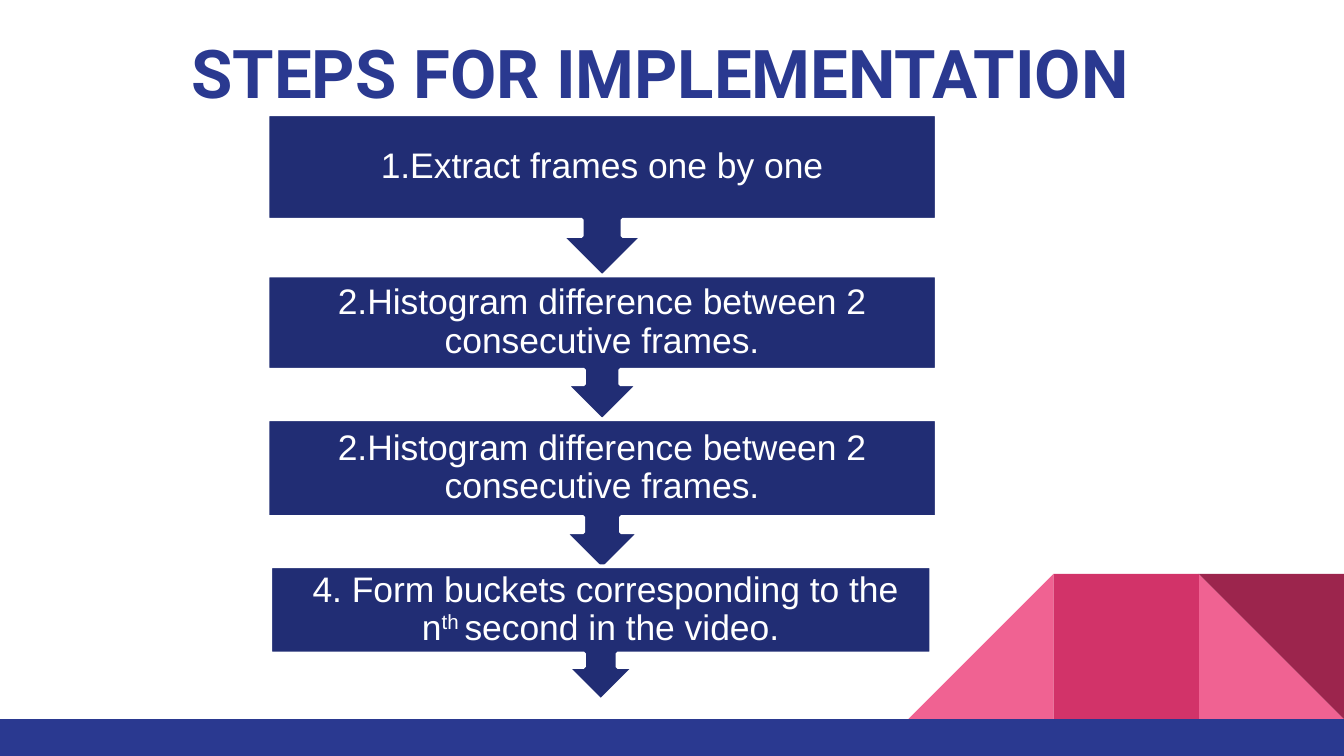
from dataclasses import dataclass

import pptx
import pptx.dml.color
import pptx.enum.shapes
import pptx.enum.text
import pptx.util
from pptx.util import Pt

SHAPE = pptx.enum.shapes.MSO_SHAPE
ALIGN = pptx.enum.text.PP_ALIGN
ANCHOR = pptx.enum.text.MSO_ANCHOR

COLORS = {
    "blue": "2A3990",
    "navy": "212D74",
    "white": "FFFFFF",
    "pink": "F06292",
    "rose": "D23369",
    "wine": "9C254D",
}
PAGE_WIDTH, PAGE_HEIGHT = 720, 405
FOOTER_TOP = 385.2
TILE = 77.76
BODY_SHARE = 0.65  # part of a callout's height above its arrow


@dataclass
class Tile:
    kind: SHAPE
    column: int  # counted from the right edge of the page
    color: str
    rotation: int = 0
    mirrored: bool = False


@dataclass
class Span:
    text: str
    superscript: bool = False


@dataclass
class Step:
    left: float
    top: float
    width: float
    height: float
    spans: list[Span]


HISTOGRAM = [Span("2.Histogram difference between 2 consecutive frames.")]
STEPS = [
    Step(143.3, 61.2, 358.5, 87, [Span("1.Extract frames one by one")]),
    Step(143.3, 147.6, 358.5, 77.6, HISTOGRAM),
    Step(143.3, 224.6, 358.5, 80.6, HISTOGRAM),
    Step(144.7, 303.3, 354.2, 72, [
        Span(" 4. Form buckets corresponding to the n"),
        Span("th ", superscript=True),
        Span("second in the video."),
    ]),
]
TILES = [
    Tile(SHAPE.RIGHT_TRIANGLE, 1, "pink"),
    Tile(SHAPE.RIGHT_TRIANGLE, 3, "pink", mirrored=True),
    Tile(SHAPE.RECTANGLE, 2, "rose"),
    Tile(SHAPE.RIGHT_TRIANGLE, 1, "wine", rotation=180),
]


def rgb(name: str) -> pptx.dml.color.RGBColor:
    return pptx.dml.color.RGBColor.from_string(COLORS[name])


def add_filled(page, kind: SHAPE, left: float, top: float, width: float,
               height: float, color: str):
    """Add a preset shape with a plain fill, no line and no shadow."""
    shape = page.shapes.add_shape(kind, Pt(left), Pt(top), Pt(width), Pt(height))
    shape.shadow.inherit = False
    shape.fill.solid()
    shape.fill.fore_color.rgb = rgb(color)
    shape.line.fill.background()
    return shape


def add_tile(page, tile: Tile) -> None:
    shape = add_filled(page, tile.kind, PAGE_WIDTH - tile.column * TILE,
                       FOOTER_TOP - TILE, TILE, TILE, tile.color)
    shape.rotation = tile.rotation
    if tile.mirrored:
        shape._element.spPr.xfrm.set("flipH", "1")


def add_step(page, step: Step) -> None:
    callout = add_filled(page, SHAPE.UP_ARROW_CALLOUT, step.left, step.top,
                         step.width, step.height, "navy")
    callout.rotation = 180
    callout.line.color.rgb = rgb("white")
    callout.line.width = Pt(2)

    # The callout is turned over, so its label is an upright box of its own.
    box = page.shapes.add_textbox(Pt(step.left), Pt(step.top), Pt(step.width),
                                  Pt(step.height * BODY_SHARE))
    frame = box.text_frame
    frame.word_wrap = True
    frame.vertical_anchor = ANCHOR.MIDDLE
    frame.margin_left = frame.margin_right = Pt(10.8)
    frame.margin_top = frame.margin_bottom = Pt(10.8)
    para = frame.paragraphs[0]
    para.alignment = ALIGN.CENTER
    para.line_spacing = 0.9
    para.font.name = "Arial"
    para.font.size = Pt(19)
    para.font.color.rgb = rgb("white")
    for span in step.spans:
        run = para.add_run()
        run.text = span.text
        if span.superscript:
            run.font._element.set("baseline", "30000")


def set_title(page, text: str) -> None:
    title = page.shapes.title
    title.left, title.top = Pt(24.5), Pt(9.4)
    title.width, title.height = Pt(671), Pt(47.5)
    frame = title.text_frame
    frame.text = text
    frame.word_wrap = True
    frame.auto_size = pptx.enum.text.MSO_AUTO_SIZE.NONE
    frame.vertical_anchor = ANCHOR.TOP
    frame.margin_left = Pt(78)
    frame.margin_right = frame.margin_top = frame.margin_bottom = Pt(7.2)
    para = frame.paragraphs[0]
    para.alignment = ALIGN.LEFT
    para.line_spacing = 1.0
    para.font.name = "Roboto"
    para.font.size = Pt(36)
    para.font.bold = True
    para.font.color.rgb = rgb("blue")


def main() -> None:
    deck = pptx.Presentation()
    deck.slide_width, deck.slide_height = Pt(PAGE_WIDTH), Pt(PAGE_HEIGHT)
    page = deck.slides.add_slide(deck.slide_layouts.get_by_name("Title Only"))
    set_title(page, "STEPS FOR IMPLEMENTATION")
    for tile in TILES:
        add_tile(page, tile)
    add_filled(page, SHAPE.RECTANGLE, 0, FOOTER_TOP, PAGE_WIDTH,
               PAGE_HEIGHT - FOOTER_TOP, "blue")
    for step in STEPS:
        add_step(page, step)
    deck.save("out.pptx")


if __name__ == "__main__":
    main()
